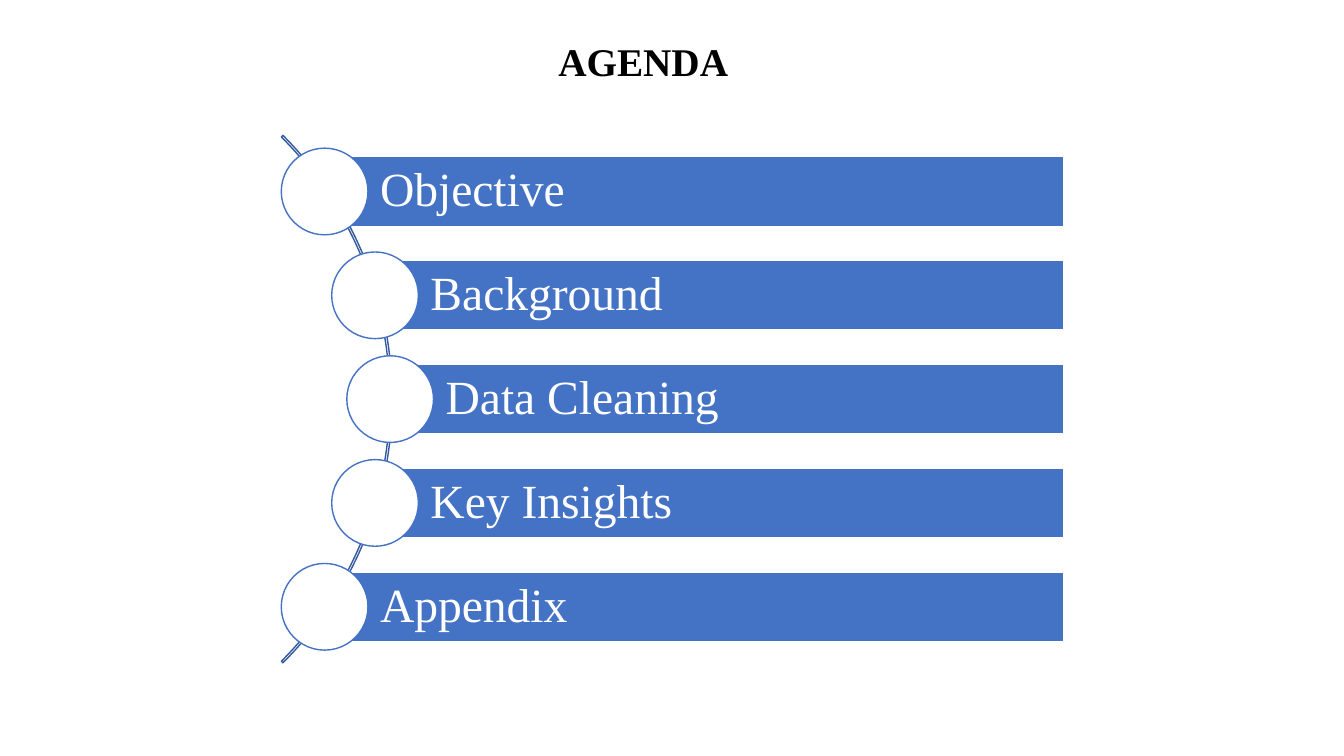
from pptx import Presentation
from pptx.dml.color import RGBColor
from pptx.enum.shapes import MSO_SHAPE
from pptx.enum.text import MSO_ANCHOR, PP_ALIGN
from pptx.util import Inches, Pt

FONT = "Times New Roman"
BLUE, DARK_BLUE, WHITE, BLACK = "4472C4", "365B9D", "FFFFFF", "000000"
TOPICS = ["Objective", "Background", "Data Cleaning", "Key Insights", "Appendix"]
BAR_LEFTS = [3.22, 3.72, 3.87, 3.72, 3.22]
BAR_RIGHT, BAR_HEIGHT = 10.55, 0.69
FIRST_ROW, ROW_PITCH = 1.9, 1.03
CIRCLE = 0.86
ARC_LEFT, ARC_TOP, ARC_SIZE = -3.51, 0.26, 7.4


def color(value):
    """Turn a hex string into a colour."""
    return RGBColor.from_string(value)


def add_figure(slide, kind, left, top, width, height, fill, line):
    """Add a preset shape with a thin outline and an optional fill."""
    figure = slide.shapes.add_shape(
        kind, Inches(left), Inches(top), Inches(width), Inches(height))
    figure.shadow.inherit = False
    if fill:
        figure.fill.solid()
        figure.fill.fore_color.rgb = color(fill)
    else:
        figure.fill.background()
    figure.line.color.rgb = color(line)
    figure.line.width = Pt(1)
    return figure


def write(box, text, size, ink, bold=False):
    """Write one left-aligned paragraph into a box."""
    para = box.text_frame.paragraphs[0]
    para.text = text
    para.alignment = PP_ALIGN.LEFT
    para.font.name = FONT
    para.font.size = Pt(size)
    para.font.bold = bold
    para.font.color.rgb = color(ink)
    return para


def add_title(slide, text):
    """Add the slide heading."""
    box = slide.shapes.add_textbox(
        Inches(5.44), Inches(0.32), Inches(1.9), Inches(0.57))
    box.text_frame.word_wrap = False
    write(box, text, 28, BLACK, bold=True)


def add_arc(slide):
    """Add the thin arc that links the circles."""
    arc = add_figure(slide, MSO_SHAPE.BLOCK_ARC, ARC_LEFT, ARC_TOP,
                     ARC_SIZE, ARC_SIZE, None, DARK_BLUE)
    for index, value in enumerate([189, 27, 0.003]):
        arc.adjustments[index] = value


def add_topic(slide, text, left, middle):
    """Add a labelled bar with a circle centred on its left edge."""
    bar = add_figure(slide, MSO_SHAPE.RECTANGLE, left, middle - BAR_HEIGHT / 2,
                     BAR_RIGHT - left, BAR_HEIGHT, BLUE, WHITE)
    frame = bar.text_frame
    frame.word_wrap = True
    frame.vertical_anchor = MSO_ANCHOR.MIDDLE
    frame.margin_left = Inches(0.55)
    frame.margin_top = frame.margin_right = frame.margin_bottom = Inches(0.09)
    write(bar, text, 34, WHITE).line_spacing = 0.9
    add_figure(slide, MSO_SHAPE.OVAL, left - CIRCLE / 2, middle - CIRCLE / 2,
               CIRCLE, CIRCLE, WHITE, BLUE)


def main():
    """Build the agenda slide."""
    deck = Presentation()
    deck.slide_width, deck.slide_height = Inches(13.33), Inches(7.5)
    slide = deck.slides.add_slide(deck.slide_layouts[6])
    add_title(slide, "AGENDA")
    add_arc(slide)
    for row, (text, left) in enumerate(zip(TOPICS, BAR_LEFTS)):
        add_topic(slide, text, left, FIRST_ROW + row * ROW_PITCH)
    deck.save("out.pptx")


if __name__ == "__main__":
    main()
